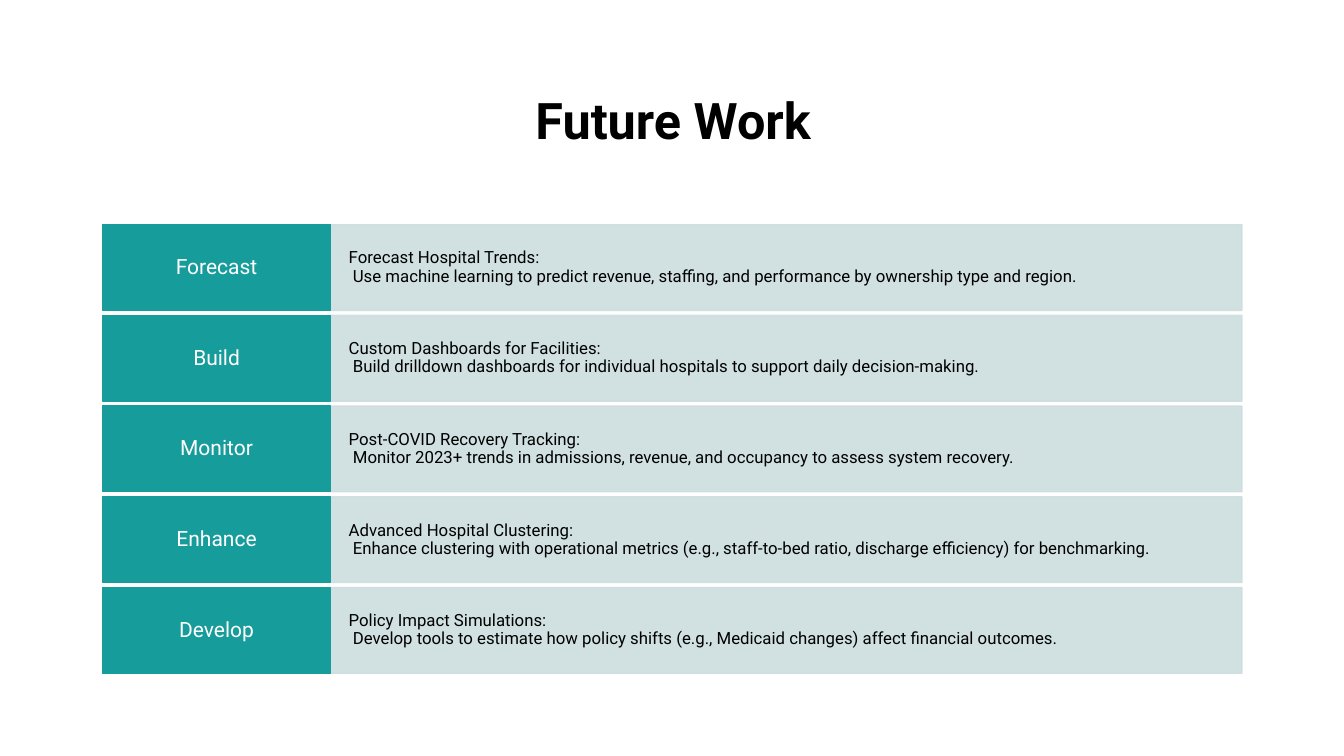
from lxml import etree
from pptx import Presentation
from pptx.dml.color import RGBColor
from pptx.enum.shapes import MSO_SHAPE as SHAPE
from pptx.enum.text import MSO_ANCHOR as ANCHOR, PP_ALIGN as ALIGN
from pptx.oxml.ns import qn
from pptx.util import Pt

BLACK = RGBColor(0x00, 0x00, 0x00)
WHITE = RGBColor(0xFF, 0xFF, 0xFF)
TEAL = RGBColor(0x16, 0x9C, 0x9A)
PALE = RGBColor(0xCC, 0xDE, 0xDE)
FONT = "Roboto"

ROW_TOP, ROW_PITCH, ROW_HEIGHT = 160.5, 64.8, 61.2
LABEL_LEFT, LABEL_WIDTH = 73.4, 162.7
DETAIL_LEFT, DETAIL_WIDTH = LABEL_LEFT + LABEL_WIDTH, 651

STEPS = [
    ("Forecast", "Forecast Hospital Trends:",
     "Use machine learning to predict revenue, staffing, and performance by ownership type and region."),
    ("Build", "Custom Dashboards for Facilities:",
     "Build drilldown dashboards for individual hospitals to support daily decision-making."),
    ("Monitor", "Post-COVID Recovery Tracking:",
     "Monitor 2023+ trends in admissions, revenue, and occupancy to assess system recovery."),
    ("Enhance", "Advanced Hospital Clustering:",
     "Enhance clustering with operational metrics (e.g., staff-to-bed ratio, discharge efficiency) for benchmarking."),
    ("Develop", "Policy Impact Simulations:",
     "Develop tools to estimate how policy shifts (e.g., Medicaid changes) affect financial outcomes."),
]


def write_text(shape, text, size, color, align, bold=False):
    frame = shape.text_frame
    frame.word_wrap = True
    frame.vertical_anchor = ANCHOR.MIDDLE
    para = frame.paragraphs[0]
    para.text = text
    para.alignment = align
    para.line_spacing = 0.9
    for span in para.runs:
        span.font.name = FONT
        span.font.size = Pt(size)
        span.font.bold = bold
        span.font.color.rgb = color


def add_cell(left, top, width, color, margin_x, margin_y):
    cell = page.shapes.add_shape(
        SHAPE.RECTANGLE, Pt(left), Pt(top), Pt(width), Pt(ROW_HEIGHT))
    cell.shadow.inherit = False
    cell.fill.solid()
    cell.fill.fore_color.rgb = color
    cell.line.color.rgb = color
    cell.line.width = Pt(1)
    frame = cell.text_frame
    frame.margin_left = frame.margin_right = Pt(margin_x)
    frame.margin_top = frame.margin_bottom = Pt(margin_y)
    return cell


deck = Presentation()
deck.slide_width, deck.slide_height = Pt(960), Pt(540)
page = deck.slides.add_slide(deck.slide_layouts[5])

# Title
title = page.shapes.title
title.left, title.top, title.width, title.height = Pt(120.2), Pt(43.2), Pt(721.4), Pt(89.3)
write_text(title, "Future Work", 36, BLACK, ALIGN.CENTER, bold=True)

# One row per step: pale detail bar, then teal label
for index, (label, heading, detail) in enumerate(STEPS):
    top = ROW_TOP + index * ROW_PITCH

    detail_box = add_cell(DETAIL_LEFT, top, DETAIL_WIDTH, PALE, 13, 16)
    # Fill and outline are 90% opaque
    for color in detail_box._element.spPr.iter(qn("a:srgbClr")):
        etree.SubElement(color, qn("a:alpha"), val="90000")
    write_text(detail_box, f"{heading}\v {detail}", 12, BLACK, ALIGN.LEFT)

    label_box = add_cell(LABEL_LEFT, top, LABEL_WIDTH, TEAL, 8.5, 6)
    write_text(label_box, label, 15, WHITE, ALIGN.CENTER)

deck.save("out.pptx")
